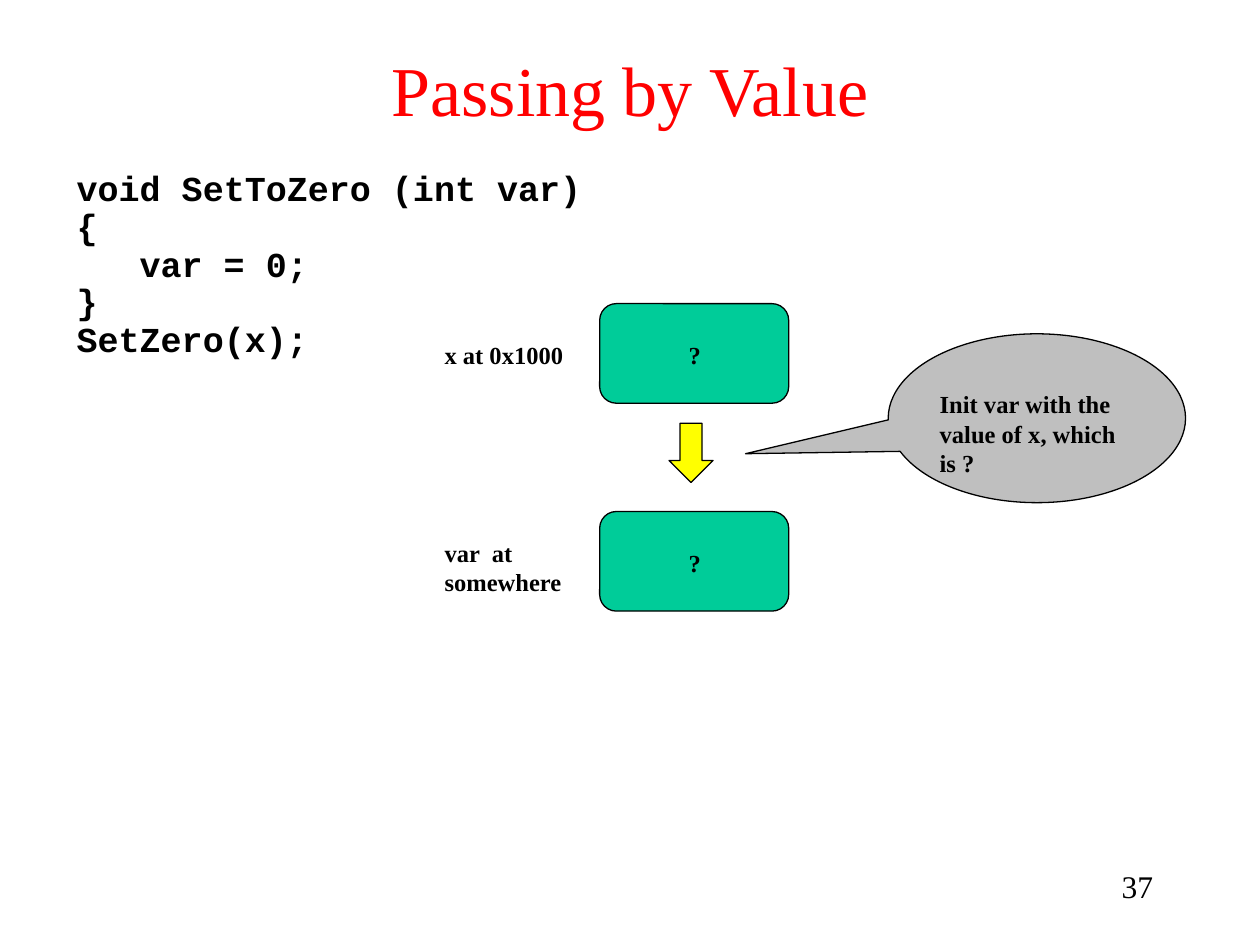
from pptx import Presentation
from pptx.dml.color import RGBColor
from pptx.enum.shapes import MSO_SHAPE
from pptx.enum.text import MSO_ANCHOR, PP_ALIGN
from pptx.util import Inches, Pt

ROUNDED = MSO_SHAPE.ROUNDED_RECTANGLE
DOWN_ARROW = MSO_SHAPE.DOWN_ARROW
CALLOUT = MSO_SHAPE.OVAL_CALLOUT
LEFT, CENTER, RIGHT = PP_ALIGN.LEFT, PP_ALIGN.CENTER, PP_ALIGN.RIGHT
MIDDLE = MSO_ANCHOR.MIDDLE

BLACK = RGBColor(0x00, 0x00, 0x00)
RED = RGBColor(0xFF, 0x00, 0x00)
GREEN = RGBColor(0x00, 0xCC, 0x99)
YELLOW = RGBColor(0xFF, 0xFF, 0x00)
GRAY = RGBColor(0xBF, 0xBF, 0xBF)

SERIF, MONO = "Times New Roman", "Courier New"
WIDTH, HEIGHT = 10, 7.5
CODE = ["void SetToZero (int var)", "{", "\tvar = 0;", "}", "SetZero(x);"]
CELL_WIDTH, CELL_HEIGHT = 1.5, 0.79
CELL_STEP = 1.65


def inches(box):
    return [Inches(length) for length in box]


def write(frame, lines, size=14, font=SERIF, color=BLACK, bold=True,
          align=LEFT, spacing=1.0):
    frame.word_wrap = True
    for index, line in enumerate(lines):
        paragraph = frame.paragraphs[0] if index == 0 else frame.add_paragraph()
        paragraph.alignment = align
        paragraph.line_spacing = spacing
        run = paragraph.add_run()
        run.text = line
        run.font.size = Pt(size)
        run.font.name = font
        run.font.bold = bold
        run.font.color.rgb = color


def add_text(slide, box, *lines, **style):
    write(slide.shapes.add_textbox(*inches(box)).text_frame, lines, **style)


def add_outlined(slide, kind, box, fill):
    shape = slide.shapes.add_shape(kind, *inches(box))
    shape.shadow.inherit = False
    shape.fill.solid()
    shape.fill.fore_color.rgb = fill
    shape.line.color.rgb = BLACK
    shape.line.width = Pt(0.75)
    return shape


def add_title(slide, box):
    title = slide.shapes.title
    title.left, title.top, title.width, title.height = inches(box)
    title.text_frame.vertical_anchor = MIDDLE
    write(title.text_frame, ["Passing by Value"], size=40, color=RED,
          bold=False, align=CENTER)


def add_variable(slide, box, label, label_top, label_height):
    left, top, width, height = box
    add_outlined(slide, ROUNDED, box, GREEN)
    add_text(slide, (left - 1.33, top + label_top, 1.18, label_height), label)
    add_text(slide, (left + 0.32, top + 0.24, width - 0.63, 0.34), "?",
             align=CENTER)


def add_memory(slide, left, top):
    labels = [("x at 0x1000", 0.24, 0.34), ("var  at somewhere", 0.16, 0.57)]
    for row, label in enumerate(labels):
        cell = (left, top + row * CELL_STEP, CELL_WIDTH, CELL_HEIGHT)
        add_variable(slide, cell, *label)
    add_outlined(slide, DOWN_ARROW, (left + 0.55, top + 0.95, 0.35, 0.47), YELLOW)


def add_callout(slide, box):
    left, top, width, height = box
    bubble = add_outlined(slide, CALLOUT, box, GRAY)
    bubble.adjustments[0] = -0.98
    bubble.adjustments[1] = 0.21
    add_text(slide, (left + 0.31, top + 0.39, width - 0.63, height - 0.53),
             "Init var with the value of x, which is ?")


def main():
    deck = Presentation()
    deck.slide_width, deck.slide_height = Inches(WIDTH), Inches(HEIGHT)
    slide = deck.slides.add_slide(deck.slide_layouts[5])
    add_title(slide, (0, 0.08, WIDTH, 1.25))
    add_text(slide, (0.51, 1.31, 8.35, 1.62), *CODE, size=20, font=MONO,
             spacing=0.9)
    add_memory(slide, 4.76, 2.41)
    add_callout(slide, (7.05, 2.65, 2.36, 1.34))
    add_text(slide, (7.17, 6.83, 2.08, 0.5), "37", size=18, bold=False,
             align=RIGHT)
    deck.save("out.pptx")


if __name__ == "__main__":
    main()
